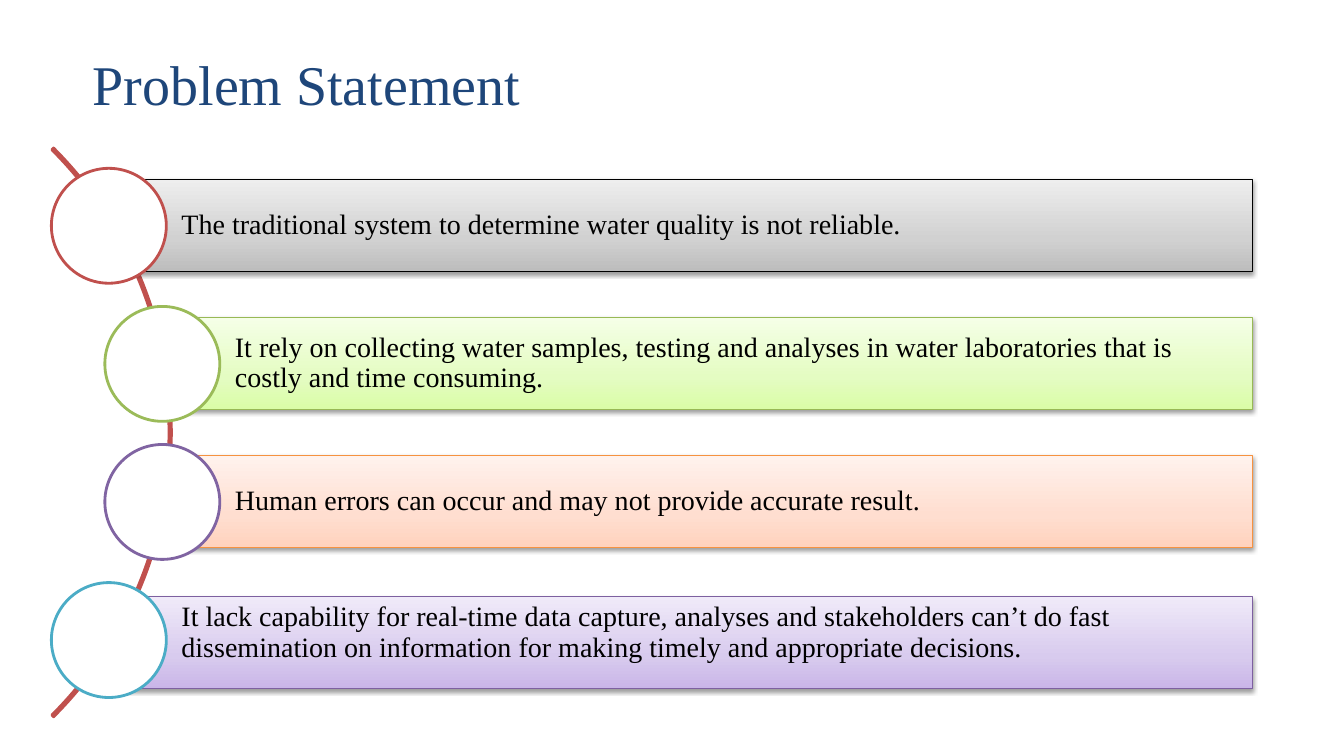
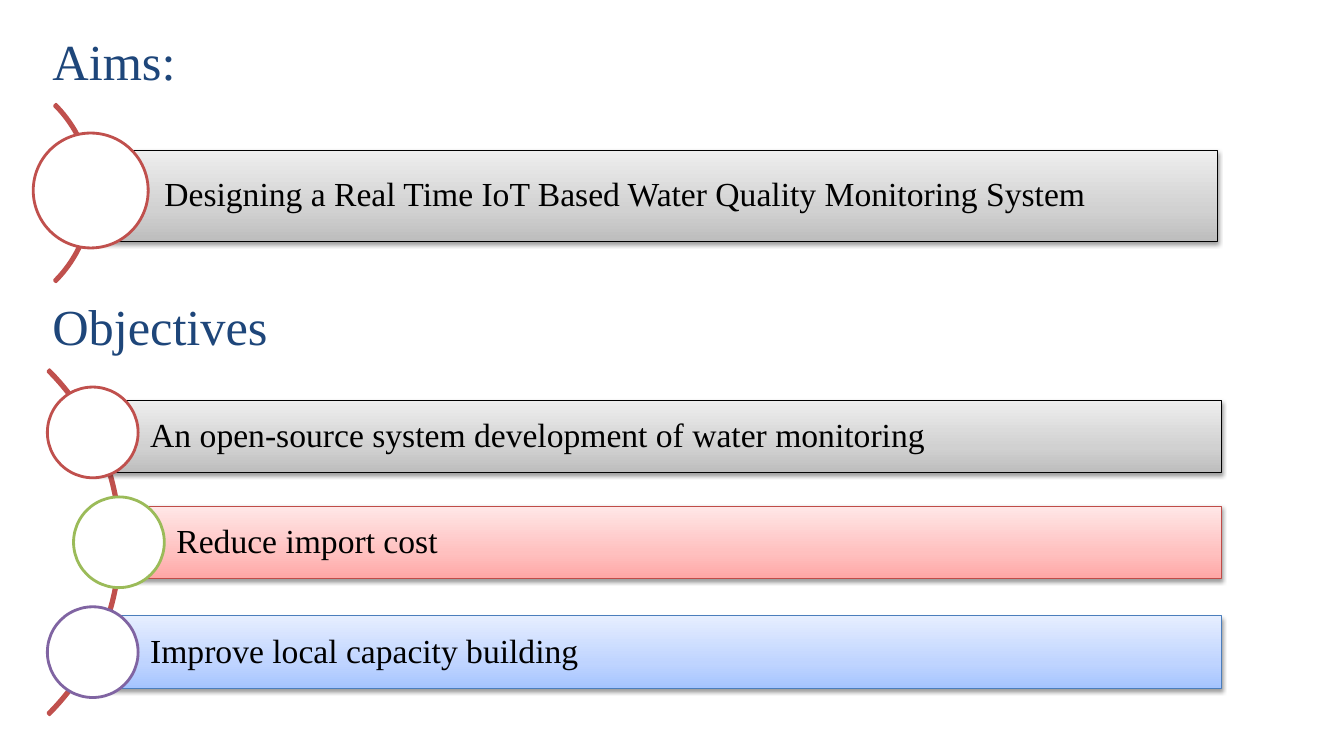
from copy import deepcopy
from dataclasses import dataclass

from lxml import etree
from pptx import Presentation
from pptx import util as u
from pptx.dml.color import RGBColor
from pptx.enum import shapes, text
from pptx.oxml import ns

# Shared look
PX = 9144  # EMU in one px, 100 px to the inch
FONT = "Times New Roman"
WHITE = RGBColor(0xFF, 0xFF, 0xFF)
BLACK = RGBColor(0x00, 0x00, 0x00)
NAVY = RGBColor(0x1E, 0x46, 0x7A)
RED = RGBColor(0xC0, 0x50, 0x4D)
GREEN = RGBColor(0x9B, 0xBB, 0x59)
PURPLE = RGBColor(0x80, 0x64, 0xA2)
AQUA = RGBColor(0x4B, 0xAC, 0xC6)
STOP_POSITIONS = (0, 0.35, 1)


@dataclass(frozen=True)
class Palette:
    stops: tuple[RGBColor, RGBColor, RGBColor]  # from bottom to top
    edge: RGBColor


def palette(bottom: str, middle: str, top: str, edge: str) -> Palette:
    stops = tuple(RGBColor.from_string(value) for value in (bottom, middle, top))
    return Palette(stops, RGBColor.from_string(edge))


GREY_BAR = palette("BDBDBD", "D1D1D1", "EEEEEE", "000000")
GREEN_BAR = palette("DAFDA7", "E4FCC2", "F5FFE7", "98B955")
ORANGE_BAR = palette("FFD2BD", "FFDED0", "FFF2ED", "F69240")
PURPLE_BAR = palette("C9B5E8", "D8CBEE", "F0EAF9", "7D60A0")
RED_BAR = palette("FFA6A5", "FFC0BF", "FFE7E7", "BF4C48")
BLUE_BAR = palette("A4C4FF", "BFD4FF", "E6EEFF", "4B7EBC")


@dataclass(frozen=True)
class Heading:
    words: str
    box: tuple[int, int, int, int]
    size: int
    insets: tuple[int, int, int, int] = (10, 5, 10, 5)


@dataclass(frozen=True)
class Item:
    words: str
    ring_left: int
    ring_color: RGBColor
    bar: Palette
    drop: int = 0  # how far the bar sits below the ring's centre line
    anchor: text.MSO_ANCHOR = text.MSO_ANCHOR.MIDDLE


@dataclass(frozen=True)
class CurvedList:
    arc: tuple[int, int, int]  # left, top, diameter
    arc_thickness: float
    ring_top: int
    ring_size: int
    pitch: int
    bar_height: int
    bar_right: int
    insets: tuple[int, int, int, int]
    size: int
    items: tuple[Item, ...]


# Content
PROBLEM_TITLE = Heading("Problem Statement", (92, 47, 512, 69), 40, (0, 2, 0, 0))
AIMS_TITLE = Heading("Aims:", (42, 25, 192, 71), 36)
OBJECTIVES_TITLE = Heading("Objectives", (42, 288, 292, 71), 36)

PROBLEMS = CurvedList(
    (-628, 30, 798), 0.003, 167, 114, 137, 91, 1242, (72, 6, 6, 6), 20, (
        Item("The traditional system to determine water quality is not reliable.",
             51, RED, GREY_BAR),
        Item("It rely on collecting water samples, testing and analyses in water "
             "laboratories that is costly and time consuming.",
             104, GREEN, GREEN_BAR),
        Item("Human errors can occur and may not provide accurate result.",
             104, PURPLE, ORANGE_BAR),
        Item("It lack capability for real-time data capture, analyses and "
             "stakeholders can’t do fast dissemination on information for making "
             "timely and appropriate decisions.",
             51, AQUA, PURPLE_BAR, 3, text.MSO_ANCHOR.TOP),
    ))
AIMS = CurvedList(
    (-157, 67, 249), 0.009, 132, 114, 0, 91, 1208, (73, 7, 7, 7), 24, (
        Item("Designing a Real Time IoT Based Water Quality Monitoring System",
             33, RED, GREY_BAR, 6),
    ))
OBJECTIVES = CurvedList(
    (-364, 296, 484), 0.005, 384, 90, 109, 72, 1212, (57, 7, 7, 7), 24, (
        Item("An open-source system development of water monitoring",
             47, RED, GREY_BAR, 4),
        Item("Reduce import cost", 73, GREEN, RED_BAR),
        Item("Improve local capacity building", 47, PURPLE, BLUE_BAR),
    ))


# Drawing
def px(*lengths: int) -> list[u.Emu]:
    return [u.Emu(length * PX) for length in lengths]


def write(frame, words: str, size: int, color: RGBColor,
          insets: tuple[int, int, int, int]):
    """Put one left-aligned run in a text frame and return its paragraph."""
    frame.word_wrap = True
    (frame.margin_left, frame.margin_top,
     frame.margin_right, frame.margin_bottom) = px(*insets)
    paragraph = frame.paragraphs[0]
    paragraph.alignment = text.PP_ALIGN.LEFT
    run = paragraph.add_run()
    run.text = words
    run.font.name = FONT
    run.font.size = u.Pt(size)
    run.font.color.rgb = color
    return paragraph


def set_heading(shape, heading: Heading) -> None:
    shape.left, shape.top, shape.width, shape.height = px(*heading.box)
    frame = shape.text_frame
    frame.vertical_anchor = text.MSO_ANCHOR.TOP
    write(frame, heading.words, heading.size, NAVY, heading.insets)
    frame.auto_size = text.MSO_AUTO_SIZE.SHAPE_TO_FIT_TEXT


def add_outlined(group, kind: shapes.MSO_SHAPE, box: tuple[int, int, int, int],
                 color: RGBColor, width: float):
    shape = group.shapes.add_shape(kind, *px(*box))
    shape.shadow.inherit = False
    shape.line.color.rgb = color
    shape.line.width = u.Pt(width)
    return shape


def fill_gradient(shape, colors: tuple[RGBColor, ...]) -> None:
    shape.fill.gradient()
    shape.fill.gradient_angle = 90
    stop_list = shape.element.spPr.find(".//" + ns.qn("a:gsLst"))
    stop_list.append(deepcopy(stop_list[-1]))
    for stop, position, color in zip(shape.fill.gradient_stops, STOP_POSITIONS, colors):
        stop.color.rgb = color
        stop.position = position


def add_shadow(shape) -> None:
    effects = shape.element.spPr.find(ns.qn("a:effectLst"))
    shadow = etree.SubElement(effects, ns.qn("a:outerShdw"), blurRad="40000",
                              dist="20000", dir="5400000", rotWithShape="0")
    color = etree.SubElement(shadow, ns.qn("a:srgbClr"), val="000000")
    etree.SubElement(color, ns.qn("a:alpha"), val="38000")


def add_curved_list(slide, curved: CurvedList) -> None:
    group = slide.shapes.add_group_shape()
    left, top, diameter = curved.arc
    arc = add_outlined(group, shapes.MSO_SHAPE.BLOCK_ARC,
                       (left, top, diameter, diameter), RED, 2)
    arc.fill.background()
    for index, value in enumerate((189, 27, curved.arc_thickness)):
        arc.adjustments[index] = value

    for index, item in enumerate(curved.items):
        ring_top = curved.ring_top + index * curved.pitch
        bar_left = item.ring_left + curved.ring_size // 2
        bar_top = ring_top + (curved.ring_size - curved.bar_height) // 2 + item.drop
        bar = add_outlined(
            group, shapes.MSO_SHAPE.RECTANGLE,
            (bar_left, bar_top, curved.bar_right - bar_left, curved.bar_height),
            item.bar.edge, 0.75)
        fill_gradient(bar, item.bar.stops)
        add_shadow(bar)
        bar.text_frame.vertical_anchor = item.anchor
        paragraph = write(bar.text_frame, item.words, curved.size, BLACK, curved.insets)
        paragraph.line_spacing = 0.9

        ring = add_outlined(
            group, shapes.MSO_SHAPE.OVAL,
            (item.ring_left, ring_top, curved.ring_size, curved.ring_size),
            item.ring_color, 2)
        ring.fill.solid()
        ring.fill.fore_color.rgb = WHITE


def add_titled_slide(presentation, heading: Heading):
    slide = presentation.slides.add_slide(presentation.slide_layouts[5])
    set_heading(slide.shapes.title, heading)
    return slide


def main() -> None:
    presentation = Presentation()
    presentation.slide_width, presentation.slide_height = px(1333, 750)

    # Problem statement
    problem_slide = add_titled_slide(presentation, PROBLEM_TITLE)
    add_curved_list(problem_slide, PROBLEMS)

    # Aims and objectives
    aims_slide = add_titled_slide(presentation, AIMS_TITLE)
    add_curved_list(aims_slide, AIMS)
    add_curved_list(aims_slide, OBJECTIVES)
    objectives_box = aims_slide.shapes.add_textbox(*px(*OBJECTIVES_TITLE.box))
    set_heading(objectives_box, OBJECTIVES_TITLE)

    presentation.save("out.pptx")


if __name__ == "__main__":
    main()
